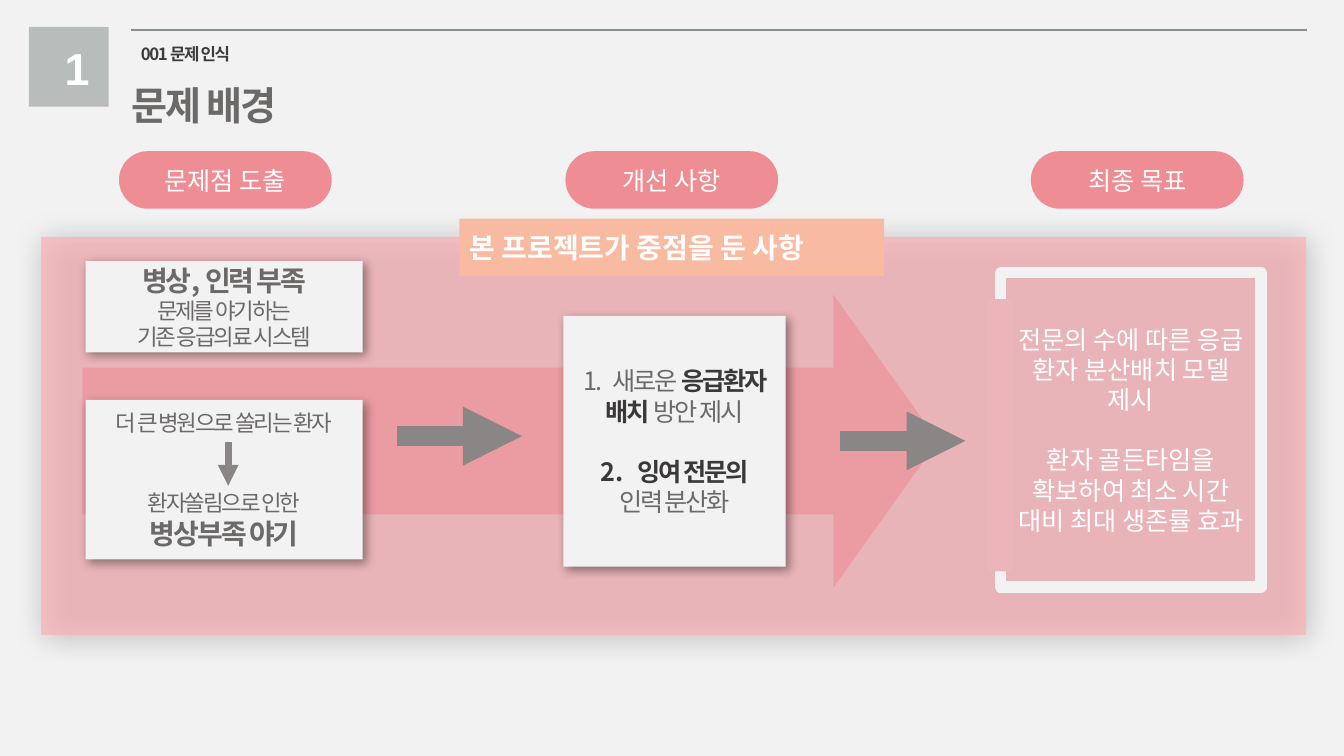
from lxml.etree import SubElement
from pptx import Presentation
from pptx.dml.color import RGBColor
from pptx.enum.shapes import MSO_CONNECTOR, MSO_SHAPE
from pptx.enum.text import MSO_ANCHOR, PP_ALIGN
from pptx.oxml.ns import qn
from pptx.util import Cm, Pt

PAPER = RGBColor(0xF2, 0xF2, 0xF2)
WHITE = RGBColor(0xFF, 0xFF, 0xFF)
BLACK = RGBColor(0x00, 0x00, 0x00)
RULE = RGBColor(0x89, 0x8F, 0x8D)
BADGE = RGBColor(0xB8, 0xBC, 0xBB)
INK = RGBColor(0x3C, 0x3C, 0x3C)
DARK = RGBColor(0x3A, 0x38, 0x38)
GREY = RGBColor(0x6C, 0x69, 0x69)
STEEL = RGBColor(0x8A, 0x86, 0x86)
ROSE = RGBColor(0xED, 0x63, 0x6D)
PANEL = RGBColor(0xFC, 0xB1, 0xB7)
RED = RGBColor(0xF7, 0x23, 0x34)
PEACH = RGBColor(0xF8, 0xBA, 0xA1)
MASK = RGBColor(0xEB, 0xB5, 0xBA)
SANS = "Noto Sans CJK KR"


def add(node, tag, **attrs):
    return SubElement(node, qn(tag), {k: str(v) for k, v in attrs.items()})


def shade(shape, blur, alpha):
    effects = shape._element.spPr.find(qn("a:effectLst"))
    outer = add(effects, "a:outerShdw", blurRad=Pt(blur), dist=Pt(3),
                dir=45 * 60000, algn="tl", rotWithShape=0)
    color = add(outer, "a:srgbClr", val=BLACK)
    add(color, "a:alpha", val=alpha * 1000)


def block(slide, kind, x, y, w, h, fill=None, alpha=100, edge=None):
    shape = slide.shapes.add_shape(kind, Cm(x), Cm(y), Cm(w), Cm(h))
    shape.shadow.inherit = False
    if fill is None:
        shape.fill.background()
    else:
        shape.fill.solid()
        shape.fill.fore_color.rgb = fill
        if alpha < 100:
            color = shape._element.spPr.find(qn("a:solidFill"))[0]
            add(color, "a:alpha", val=alpha * 1000)
    if edge is None:
        shape.line.fill.background()
    else:
        shape.line.color.rgb = edge
        shape.line.width = Pt(8.25)
    frame = shape.text_frame
    frame.word_wrap = True
    frame.vertical_anchor = MSO_ANCHOR.MIDDLE
    return shape


def card(slide, x, y, w, h):
    shape = block(slide, MSO_SHAPE.RECTANGLE, x, y, w, h, PAPER)
    shade(shape, 7.6, 40)
    return shape.text_frame


def label(slide, x, y, w, h, wrap=False):
    frame = slide.shapes.add_textbox(Cm(x), Cm(y), Cm(w), Cm(h)).text_frame
    frame.word_wrap = wrap
    return frame


def stroke(slide, x, y, to_x, to_y, color, width, arrow=True):
    line = slide.shapes.add_connector(
        MSO_CONNECTOR.STRAIGHT, Cm(x), Cm(y), Cm(to_x), Cm(to_y))
    line.line.color.rgb = color
    line.line.width = Pt(width)
    if arrow:
        add(line.line._get_or_add_ln(), "a:tailEnd", type="triangle")
    add(line._element.spPr, "a:effectLst")


def start(frame, align=PP_ALIGN.CENTER, gap=0):
    first = frame.paragraphs[0]
    para = frame.add_paragraph() if first.runs else first
    para.alignment = align
    if gap:
        para.space_before = Pt(gap)
    return para


def write(para, text, size=18, color=GREY, bold=False, face=SANS, track=-1.5):
    run = para.add_run()
    run.text = text
    font = run.font
    font.size, font.bold, font.name = Pt(size), bold, face
    font.color.rgb = color
    props = run._r.get_or_add_rPr()
    if track:
        props.set("spc", str(int(track * 100)))
    if face == SANS:
        add(props, "a:ea", typeface=face)


def plain(para, text, **style):
    write(para, text, color=WHITE, face="Arial", track=0, **style)


def number(para, first):
    props = para._p.get_or_add_pPr()
    props.set("marL", str(Cm(0.95)))
    props.set("indent", str(-Cm(0.95)))
    add(props, "a:buFont", typeface=SANS)
    add(props, "a:buAutoNum", type="arabicPeriod", startAt=first)


def header(slide):
    stroke(slide, 3.3, 0.75, 32.94, 0.75, RULE, 1.5, arrow=False)
    block(slide, MSO_SHAPE.RECTANGLE, 0.73, 0.68, 2.01, 2.01, BADGE)
    plain(start(label(slide, 1.38, 0.9, 0.7, 1.62, wrap=True)), "1",
          size=32, bold=True)
    write(start(label(slide, 3.3, 0.97, 2.97, 0.77), PP_ALIGN.LEFT),
          "001 문제 인식", size=12, color=INK, bold=True, track=-1)
    title = start(label(slide, 2.84, 1.57, 4.6, 1.65))
    title.line_spacing = 1.3
    write(title, "문제 배경", size=28, bold=True)


def stage(slide):
    for x, text in ((3, "문제점 도출"), (14.25, "개선 사항"), (25.98, "최종 목표")):
        pill = block(slide, MSO_SHAPE.ROUNDED_RECTANGLE, x, 3.81, 5.36, 1.45,
                     ROSE, alpha=70)
        pill.adjustments[0] = 0.5
        plain(start(pill.text_frame), text)
    panel = block(slide, MSO_SHAPE.RECTANGLE, 1.04, 5.97, 31.88, 10.03,
                  PANEL, alpha=70)
    shade(panel, 21.9, 31)
    arrow = block(slide, MSO_SHAPE.RIGHT_ARROW, 2.08, 7.42, 21.56, 7.39,
                  RED, alpha=16)
    arrow.adjustments[1] = 0.357


def causes(slide):
    frame = card(slide, 2.16, 6.58, 6.98, 2.3)
    write(start(frame), "병상, 인력 부족", size=20, bold=True)
    for text in ("문제를 야기하는", "기존 응급의료 시스템"):
        write(start(frame), text, size=16)
    frame = card(slide, 2.16, 10.08, 6.98, 4.02)
    write(start(frame), "더 큰 병원으로 쏠리는 환자", size=16)
    write(start(frame, gap=38), "환자쏠림으로 인한", size=16)
    write(start(frame), "병상부족 야기", size=20, bold=True)
    stroke(slide, 5.75, 11.14, 5.75, 12.24, STEEL, 5)


def plans(slide):
    banner = block(slide, MSO_SHAPE.RECTANGLE, 11.58, 5.51, 10.7, 1.45, PEACH)
    plain(start(banner.text_frame, PP_ALIGN.JUSTIFY),
          "본 프로젝트가 중점을 둔 사항", size=20, bold=True)
    frame = card(slide, 14.2, 7.96, 5.6, 6.32)
    para = start(frame)
    write(para, "1.")
    write(para, " ", track=3.5)
    write(para, "새로운 ")
    write(para, "응급환자 배치 ", color=DARK, bold=True)
    write(para, "방안 제시")
    para = start(frame, gap=21.5)
    number(para, 2)
    write(para, "잉여 전문의", color=DARK, bold=True)
    write(start(frame), "인력 분산화")


def goals(slide):
    frame = block(slide, MSO_SHAPE.RECTANGLE, 25.22, 6.87, 6.56, 7.92,
                  edge=PAPER).text_frame
    plain(start(frame), "전문의 수에 따른 응급 환자 분산배치 모델 제시")
    plain(start(frame, gap=21.5), "환자 골든타임을 확보하여 최소 시간 대비 최대 생존률 효과")
    block(slide, MSO_SHAPE.RECTANGLE, 24.87, 7.54, 0.66, 6.86, MASK)


def main():
    deck = Presentation()
    deck.slide_width, deck.slide_height = Cm(33.87), Cm(19.05)
    slide = deck.slides.add_slide(deck.slide_layouts[6])
    slide.background.fill.solid()
    slide.background.fill.fore_color.rgb = PAPER
    header(slide)
    stage(slide)
    causes(slide)
    plans(slide)
    for x, y in ((10, 10.99), (21.18, 11.11)):
        stroke(slide, x, y, x + 3.15, y, STEEL, 14)
    goals(slide)
    deck.save("out.pptx")


if __name__ == "__main__":
    main()
